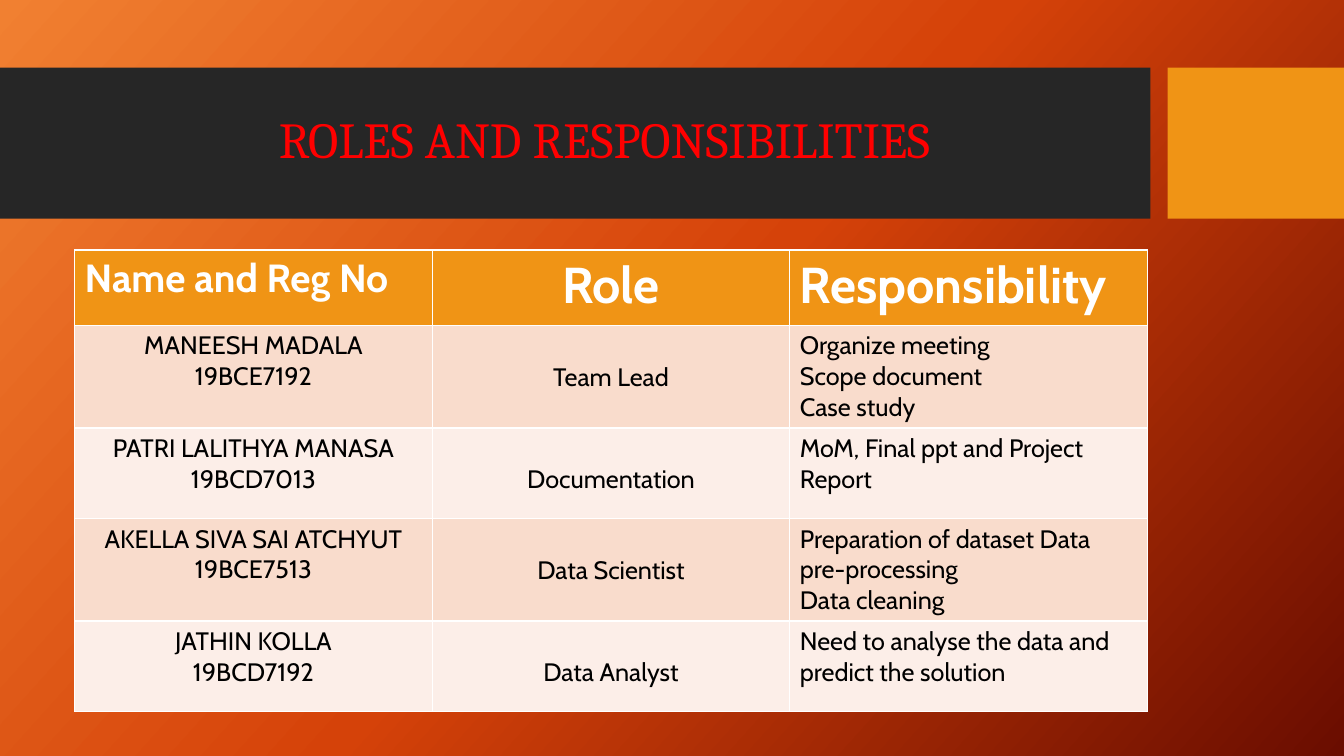
"""Builds the roles and responsibilities slide."""
from copy import deepcopy

from pptx import Presentation
from pptx.dml.color import RGBColor
from pptx.enum.shapes import MSO_SHAPE as Shape
from pptx.enum.text import MSO_ANCHOR as Anchor, PP_ALIGN as Align
from pptx.oxml.ns import qn
from pptx.util import Inches, Pt


def color(hex_code):
    return RGBColor.from_string(hex_code)


def style(paragraph, font_name, size, hex_code, align, bold=False):
    paragraph.alignment = align
    for run in paragraph.runs:
        run.font.name = font_name
        run.font.size = Pt(size)
        run.font.bold = bold
        run.font.color.rgb = color(hex_code)


deck = Presentation()
deck.slide_width, deck.slide_height = Inches(13.33), Inches(7.5)
slide = deck.slides.add_slide(deck.slide_layouts[5])

backdrop = slide.background.fill
backdrop.gradient()
backdrop.gradient_angle = 360 - 42
stop_list = slide.element.find(".//" + qn("a:gsLst"))
stop_list.append(deepcopy(stop_list[-1]))
for stop, (position, hex_code) in zip(
        backdrop.gradient_stops, [(0, "F18031"), (0.5, "D54209"), (1, "6A0D00")]):
    stop.position = position
    stop.color.rgb = color(hex_code)

title = slide.shapes.title
for left, width, hex_code in [(0, 11.41, "262626"), (11.58, 1.75, "F09415")]:
    band = slide.shapes.add_shape(
        Shape.RECTANGLE, Inches(left), Inches(0.67), Inches(width), Inches(1.5))
    band.shadow.inherit = False
    band.fill.solid()
    band.fill.fore_color.rgb = color(hex_code)
    band.line.fill.background()
    title._element.addprevious(band._element)

title.left, title.top = Inches(0.74), Inches(0.82)
title.width, title.height = Inches(10.51), Inches(1.18)
title.text_frame.text = "ROLES AND RESPONSIBILITIES"
title.text_frame.vertical_anchor = Anchor.MIDDLE
heading = title.text_frame.paragraphs[0]
heading.line_spacing = 0.9
style(heading, "Cambria", 36, "FF0000", Align.CENTER)

team = [
    ("Name and Reg No", "Role", "Responsibility"),
    ("MANEESH MADALA\n19BCE7192", "Team Lead",
     "Organize meeting\nScope document\nCase study"),
    ("PATRI LALITHYA MANASA\n19BCD7013", "Documentation",
     "MoM, Final ppt and Project\nReport"),
    ("AKELLA SIVA SAI ATCHYUT\n19BCE7513", "Data Scientist",
     "Preparation of dataset Data pre-processing\nData cleaning"),
    ("JATHIN KOLLA\n19BCD7192", "Data Analyst",
     "Need to analyse the data and predict the solution"),
]
header_sizes = [28, 36, 36]
header_aligns = [Align.LEFT, Align.CENTER, Align.LEFT]
member_aligns = [Align.CENTER, Align.CENTER, Align.LEFT]
row_fills = ["FCEEE8", "F9DCCC"]

roles = slide.shapes.add_table(
    len(team), 3, Inches(0.74), Inches(2.48), Inches(10.64), Inches(4.35)).table
for row_index, member in enumerate(team):
    is_header = row_index == 0
    roles.rows[row_index].height = Inches(0.75 if is_header else 0.9)
    for column, words in enumerate(member):
        cell = roles.cell(row_index, column)
        cell.text_frame.text = words
        cell.fill.solid()
        cell.fill.fore_color.rgb = color(
            "F09415" if is_header else row_fills[row_index % 2])
        if column == 1 and not is_header:
            cell.margin_top = Inches(0.36)
        for paragraph in cell.text_frame.paragraphs:
            if is_header:
                style(paragraph, "Cabin", header_sizes[column], "FFFFFF",
                      header_aligns[column], bold=True)
            else:
                style(paragraph, "Cabin", 18, "000000", member_aligns[column])

deck.save("out.pptx")
